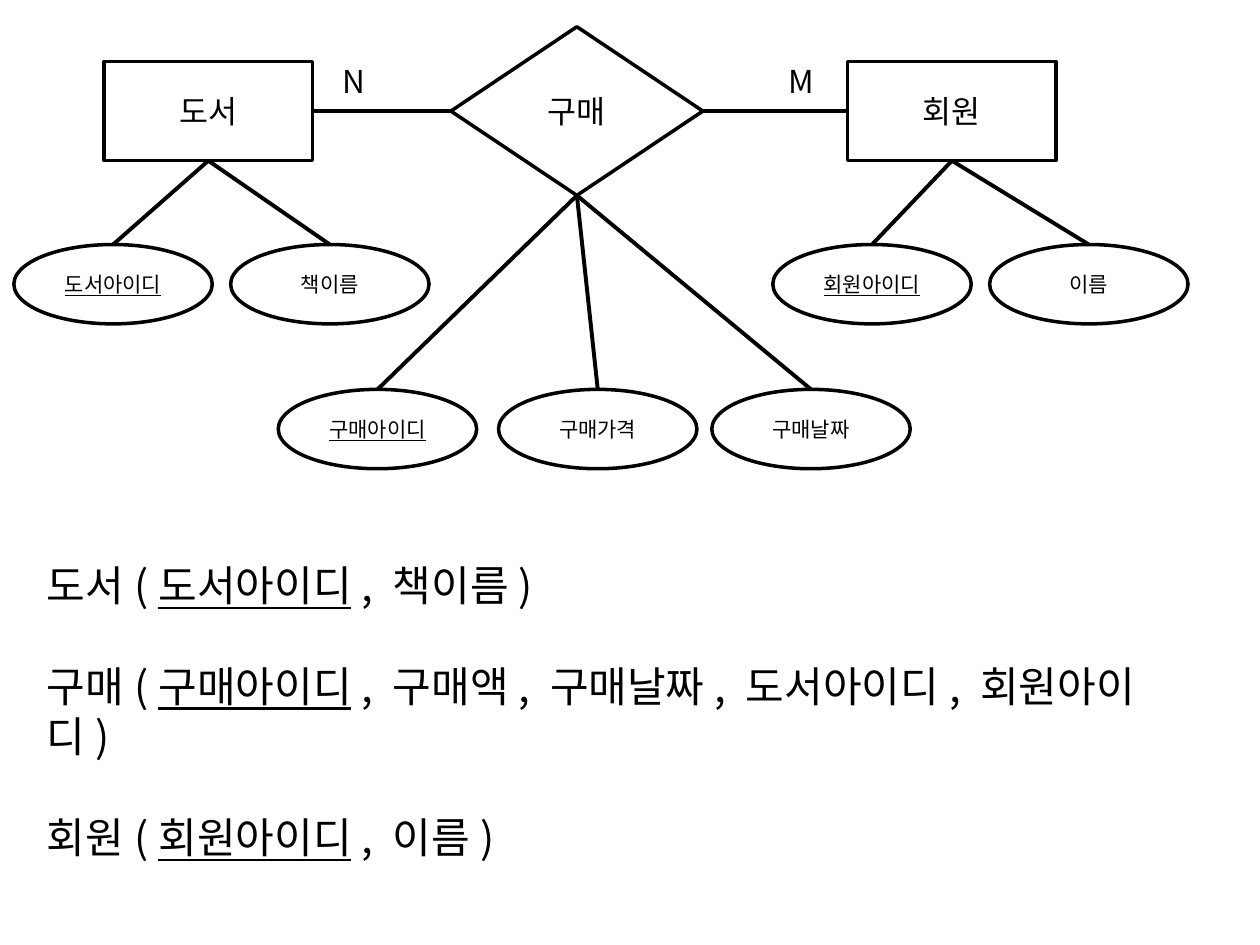
"""Draw the book purchase ER diagram and its relational schema."""
from dataclasses import dataclass

from lxml import etree
from pptx import Presentation
from pptx.dml.color import RGBColor
from pptx.enum.shapes import MSO_CONNECTOR, MSO_SHAPE
from pptx.enum.text import MSO_ANCHOR, MSO_AUTO_SIZE, PP_ALIGN
from pptx.oxml.ns import qn
from pptx.util import Cm, Pt

RECT = MSO_SHAPE.RECTANGLE
DIAMOND = MSO_SHAPE.FLOWCHART_DECISION
OVAL = MSO_SHAPE.OVAL
STRAIGHT = MSO_CONNECTOR.STRAIGHT
CENTER, LEFT = PP_ALIGN.CENTER, PP_ALIGN.LEFT
MIDDLE, TOP = MSO_ANCHOR.MIDDLE, MSO_ANCHOR.TOP
NO_FIT = MSO_AUTO_SIZE.NONE
TOP_SITE, LEFT_SITE, BOTTOM_SITE, RIGHT_SITE = range(4)

FONT = "Noto Sans CJK KR"
BLACK, WHITE = "000000", "FFFFFF"
MAIN_Y = 2.24
OVAL_W, OVAL_H = 4.0, 1.6
LINE_PITCH = Pt(28.8)


@dataclass
class Attribute:
    name: str
    cx: float
    key: bool = False


@dataclass
class Node:
    name: str
    kind: int
    cx: float
    width: float
    height: float
    attr_top: float
    attrs: list[Attribute]


@dataclass
class Relation:
    name: str
    key: str
    rest: str


NODES = [
    Node("도서", RECT, 4.2, 4.2, 2.0, 4.93,
         [Attribute("도서아이디", 2.28, True), Attribute("책이름", 6.65)]),
    Node("구매", DIAMOND, 11.63, 5.08, 3.4, 7.85,
         [Attribute("구매아이디", 7.61, True), Attribute("구매가격", 12.05),
          Attribute("구매날짜", 16.35)]),
    Node("회원", RECT, 19.19, 4.2, 2.0, 4.93,
         [Attribute("회원아이디", 17.58, True), Attribute("이름", 21.95)]),
]
CARDINALITIES = [("N", 6.65, 0.99), ("M", 15.65, 1.09)]
RELATIONS = [
    Relation("도서", "도서아이디", ", 책이름)"),
    Relation("구매", "구매아이디", ", 구매액, 구매날짜, 도서아이디, 회원아이디)"),
    Relation("회원", "회원아이디", ", 이름)"),
]


def rgb(color: str) -> RGBColor:
    return RGBColor.from_string(color)


def add_run(p, text: str, size: float, underline: bool = False) -> None:
    r = p.add_run()
    r.text = text
    r.font.name = FONT
    r.font.size = Pt(size)
    r.font.underline = underline
    r.font.color.rgb = rgb(BLACK)
    etree.SubElement(r.font._element, qn("a:ea"), typeface=FONT)


def add_box(s, kind: int, cx: float, top: float, width: float, height: float,
            text: str, size: float, underline: bool = False):
    sp = s.shapes.add_shape(kind, Cm(cx - width / 2), Cm(top), Cm(width), Cm(height))
    sp.shadow.inherit = False
    sp.fill.solid()
    sp.fill.fore_color.rgb = rgb(WHITE)
    sp.line.color.rgb = rgb(BLACK)
    sp.line.width = Pt(2)
    tf = sp.text_frame
    tf.vertical_anchor = MIDDLE
    p = tf.paragraphs[0]
    p.alignment = CENTER
    add_run(p, text, size, underline)
    return sp


def connect(s, start, start_site: int, end, end_site: int) -> None:
    line = s.shapes.add_connector(STRAIGHT, 0, 0, 0, 0)
    line.begin_connect(start, start_site)
    line.end_connect(end, end_site)
    line.line.color.rgb = rgb(BLACK)
    line.line.width = Pt(2.25)
    etree.SubElement(line._element.spPr, qn("a:effectLst"))


def add_node(s, node: Node):
    sp = add_box(s, node.kind, node.cx, MAIN_Y - node.height / 2,
                 node.width, node.height, node.name, 18)
    for attr in node.attrs:
        oval = add_box(s, OVAL, attr.cx, node.attr_top, OVAL_W, OVAL_H,
                       attr.name, 12, attr.key)
        connect(s, sp, BOTTOM_SITE, oval, TOP_SITE)
    return sp


def add_cardinality(s, text: str, left: float, width: float) -> None:
    tf = s.shapes.add_textbox(Cm(left), Cm(1.12), Cm(width), Cm(1.02)).text_frame
    tf.word_wrap = False
    add_run(tf.paragraphs[0], text, 18)


def fill_schema(body, relations: list[Relation]) -> None:
    body.left, body.top, body.width, body.height = Cm(0.69), Cm(11.15), Cm(23.52), Cm(6.4)
    tf = body.text_frame
    tf.word_wrap = True
    tf.auto_size = NO_FIT
    tf.vertical_anchor = TOP
    for i, rel in enumerate(relations):
        p = tf.paragraphs[0] if i == 0 else tf.add_paragraph()
        p.alignment = LEFT
        p.line_spacing = LINE_PITCH
        p.space_before = Pt(0)
        p.space_after = LINE_PITCH
        pPr = p._p.get_or_add_pPr()
        pPr.set("marL", "0")
        pPr.set("indent", "0")
        etree.SubElement(pPr, qn("a:buNone"))
        add_run(p, f"{rel.name}(", 24)
        add_run(p, rel.key, 24, True)
        add_run(p, rel.rest, 24)


def main() -> None:
    prs = Presentation()
    prs.slide_width, prs.slide_height = Cm(25.4), Cm(19.05)
    s = prs.slides.add_slide(prs.slide_layouts[1])
    title = s.shapes.title._element
    title.getparent().remove(title)
    fill_schema(s.placeholders[1], RELATIONS)
    book, purchase, member = [add_node(s, node) for node in NODES]
    connect(s, book, RIGHT_SITE, purchase, LEFT_SITE)
    connect(s, member, LEFT_SITE, purchase, RIGHT_SITE)
    for text, left, width in CARDINALITIES:
        add_cardinality(s, text, left, width)
    prs.save("out.pptx")


if __name__ == "__main__":
    main()
